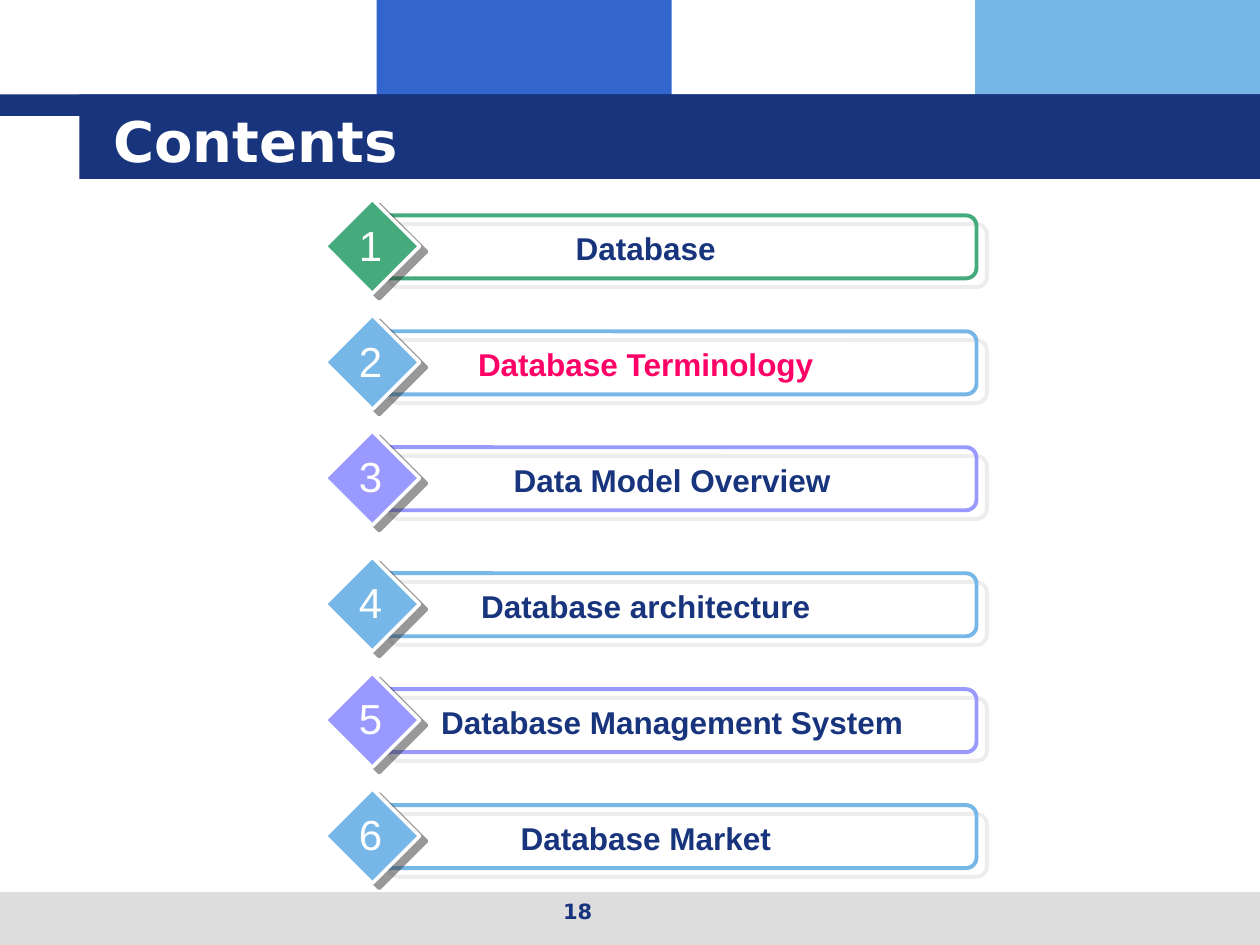
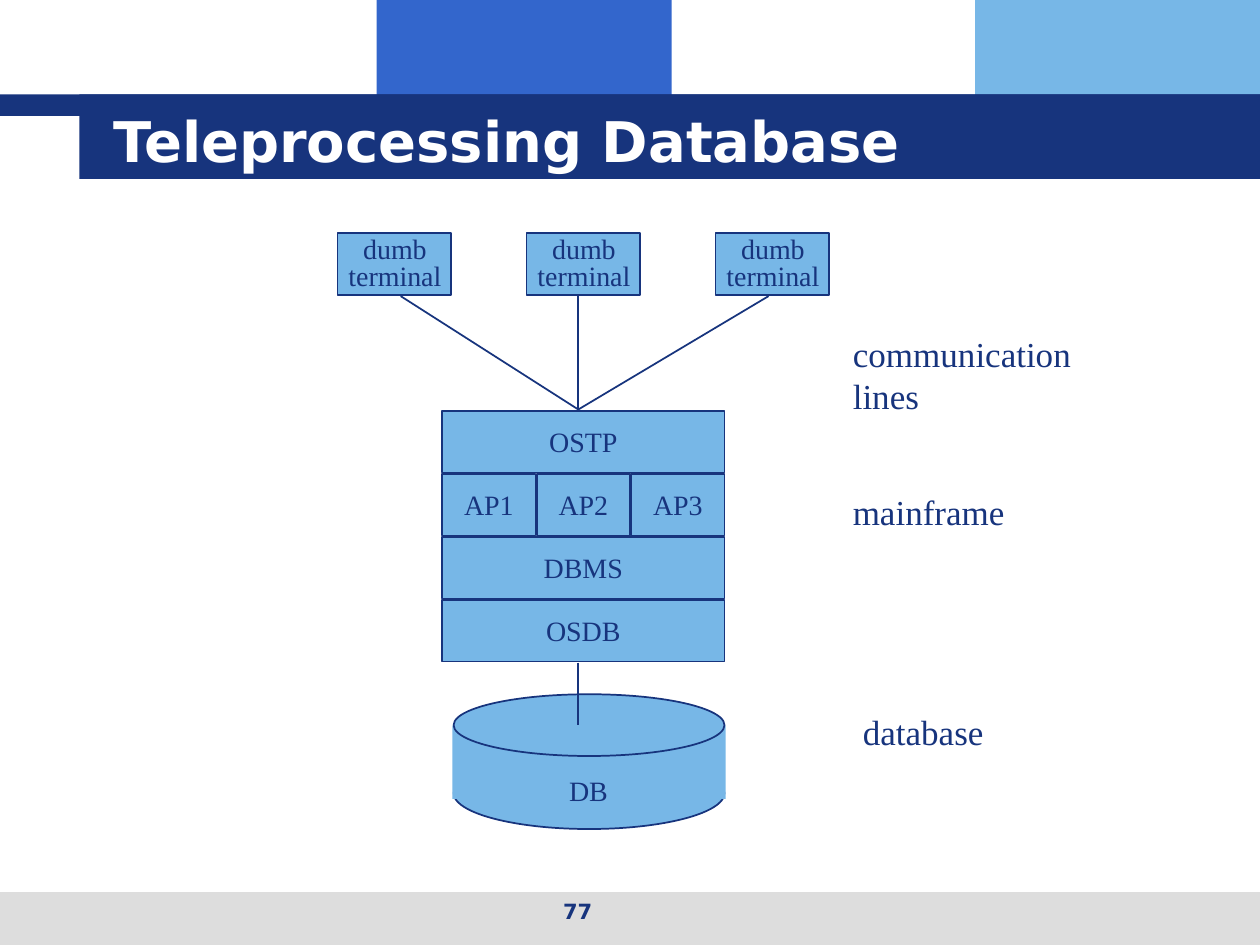
import lxml.etree
import pptx
import pptx.dml.color
import pptx.enum.shapes
import pptx.enum.text
import pptx.oxml.ns
import pptx.util

Inches = pptx.util.Inches
Pt = pptx.util.Pt
SHAPE = pptx.enum.shapes.MSO_SHAPE
ALIGN = pptx.enum.text.PP_ALIGN
ANCHOR = pptx.enum.text.MSO_ANCHOR
AUTO_SIZE = pptx.enum.text.MSO_AUTO_SIZE

COLORS = {
    "navy": "17347D",
    "blue": "3366CC",
    "sky": "77B7E7",
    "green": "45AB7D",
    "violet": "9999FF",
    "pink": "FF0066",
    "silver": "DDDDDD",
    "charcoal": "333333",
    "white": "FFFFFF",
}

FORMATS = {
    "title": {"name": "DejaVu Sans", "size": Pt(32), "bold": True},
    "page": {"name": "DejaVu Sans", "size": Pt(12), "bold": True},
    "topic": {"name": "Arial", "size": Pt(18), "bold": True},
    "number": {"name": "Arial", "size": Pt(24)},
    "diagram": {"name": "Times New Roman", "size": Pt(16)},
    "note": {"name": "Times New Roman", "size": Pt(20)},
}

BANDS = [
    ((2.99, 0, 2.34, 0.92), "blue"),
    ((7.74, 0, 2.26, 0.92), "sky"),
    ((0, 7.08, 10, 0.42), "silver"),
    ((0, 0.75, 10, 0.17), "navy"),
    ((0.63, 0.75, 9.37, 0.67), "navy"),
]

TOPICS = [
    ("Database", "green", "navy", 3.75),
    ("Database Terminology", "sky", "pink", 3.75),
    ("Data Model Overview", "violet", "navy", 4.17),
    ("Database architecture", "sky", "navy", 3.75),
    ("Database Management System", "violet", "navy", 4.17),
    ("Database Market", "sky", "navy", 3.75),
]

MAINFRAME_ROWS = [["OSTP"], ["AP1", "AP2", "AP3"], ["DBMS"], ["OSDB"]]

NOTES = [
    ("communication lines", (6.67, 2.59, 2.09, 0.76)),
    ("mainframe", (6.67, 3.84, 1.84, 0.43)),
    ("database", (6.75, 5.59, 2.01, 0.43)),
]


def rgb(color):
    """Return the named colour as an RGB value."""
    return pptx.dml.color.RGBColor.from_string(COLORS[color])


def inches(box):
    """Convert a sequence of numbers to lengths."""
    return [Inches(value) for value in box]


def write(shape, text, style, color="navy", align=ALIGN.CENTER, spacing=None, **frame):
    """Put one formatted paragraph into a shape."""
    text_frame = shape.text_frame
    for name, value in {"word_wrap": True, **frame}.items():
        setattr(text_frame, name, value)
    paragraph = text_frame.paragraphs[0]
    paragraph.text = text
    paragraph.alignment = align
    if spacing:
        paragraph.line_spacing = spacing
    font = paragraph.runs[0].font
    for name, value in FORMATS[style].items():
        setattr(font, name, value)
    font.color.rgb = rgb(color)


def add_text(shapes, box, text, style, **options):
    """Add a text box holding one paragraph."""
    write(shapes.add_textbox(*inches(box)), text, style, **options)


def add_block(shapes, kind, box, fill=None, line=None, width=1):
    """Add a preset shape with an optional fill and outline."""
    shape = shapes.add_shape(kind, *inches(box))
    shape.shadow.inherit = False
    if fill:
        shape.fill.solid()
        shape.fill.fore_color.rgb = rgb(fill)
    else:
        shape.fill.background()
    if line:
        shape.line.color.rgb = rgb(line)
        shape.line.width = Pt(width)
    else:
        shape.line.fill.background()
    return shape


def add_shadow(shape, color, distance, angle):
    """Give a shape a hard, half transparent shadow."""
    qn = pptx.oxml.ns.qn
    effects = shape.element.spPr.find(qn("a:effectLst"))
    shadow = lxml.etree.SubElement(
        effects, qn("a:outerShdw"), blurRad="0", dist=str(Pt(distance)),
        dir=str(angle * 60000), algn="ctr", rotWithShape="0")
    shade = lxml.etree.SubElement(shadow, qn("a:srgbClr"), val=COLORS[color])
    lxml.etree.SubElement(shade, qn("a:alpha"), val="50000")


def add_line(shapes, start, end):
    """Draw a thin straight line between two points."""
    line = shapes.add_connector(
        pptx.enum.shapes.MSO_CONNECTOR.STRAIGHT, *inches(start + end))
    line.line.color.rgb = rgb("navy")
    line.line.width = Pt(1)
    lxml.etree.SubElement(line.element.spPr, pptx.oxml.ns.qn("a:effectLst"))


def add_master_bands(presentation, slide):
    """Draw the coloured bands and place them at the back of the master."""
    tree = presentation.slide_master.element.cSld.spTree
    for index, (box, fill) in enumerate(BANDS):
        band = add_block(slide.shapes, SHAPE.RECTANGLE, box, fill)
        band.element.nvSpPr.cNvPr.set("id", str(20 + index))
        tree.insert(2 + index, band.element)


def add_slide(presentation, title, page):
    """Add a slide with its title and page number."""
    slide = presentation.slides.add_slide(presentation.slide_layouts[5])
    heading = slide.shapes.title
    box = dict(zip(("left", "top", "width", "height"), inches((0.8, 0.8, 8.53, 0.62))))
    for name, value in box.items():
        setattr(heading, name, value)
    write(heading, title, "title", "white", ALIGN.LEFT,
          vertical_anchor=ANCHOR.MIDDLE, auto_size=AUTO_SIZE.NONE)
    add_text(slide.shapes, (3.42, 7.08, 2.33, 0.35), page, "page")
    return slide


def add_topic(slide, left, top, number, topic):
    """Add one numbered contents row at the given corner."""
    text, accent, color, width = topic
    shapes = slide.shapes.add_group_shape().shapes
    bar = add_block(shapes, SHAPE.ROUNDED_RECTANGLE,
                    (left + 0.42, top + 0.13, 4.75, 0.5), line=accent, width=2.25)
    add_shadow(bar, "silver", 7.8, 40)
    diamond = add_block(shapes, SHAPE.DIAMOND, (left, top, 0.75, 0.75), accent, "white", 2)
    add_shadow(diamond, "charcoal", 5, 37)
    add_text(shapes, (left + 0.67, top + 0.19, width, 0.4), text, "topic", color=color)
    add_text(shapes, (left + 0.17, top + 0.11, 0.38, 0.5), str(number), "number",
             color="white", word_wrap=False)


def add_contents(slide, left, top):
    """Stack the topics in two sets of three."""
    for index, topic in enumerate(TOPICS):
        group, row = divmod(index, 3)
        add_topic(slide, left, top + 2.84 * group + 0.92 * row, index + 1, topic)


def add_mainframe(slide, left, top, width):
    """Stack the software layers, splitting each row into equal cells."""
    gap, height = 0.01, 0.49
    for row, names in enumerate(MAINFRAME_ROWS):
        cell = (width - gap * (len(names) - 1)) / len(names)
        for column, name in enumerate(names):
            box = (left + column * (cell + gap), top + row * (height + gap), cell, height)
            layer = add_block(slide.shapes, SHAPE.RECTANGLE, box, "sky", "navy")
            write(layer, name, "diagram", word_wrap=False, vertical_anchor=ANCHOR.MIDDLE)


def add_database(slide, left, top):
    """Build the storage drum and the line that feeds it."""
    shapes = slide.shapes
    add_block(shapes, SHAPE.OVAL, (left, top + 0.5, 2.15, 0.57), "sky", "navy")
    add_block(shapes, SHAPE.RECTANGLE, (left - 0.01, top + 0.25, 2.17, 0.58), "sky")
    add_block(shapes, SHAPE.OVAL, (left, top, 2.15, 0.49), "sky", "navy")
    add_line(shapes, (left + 0.99, top - 0.25), (left + 0.99, top + 0.24))
    add_text(shapes, (left + 0.73, top + 0.58, 0.68, 0.36), "DB", "diagram")


def add_terminals(slide, left, top, hub):
    """Place the terminals and run their lines to the hub point."""
    for index, line_start in enumerate((0.5, 1.91, 3.42)):
        terminal_left = left + 1.5 * index
        add_block(slide.shapes, SHAPE.RECTANGLE, (terminal_left, top, 0.9, 0.49), "sky", "navy")
        add_text(slide.shapes, (terminal_left - 0.26, top - 0.01, 1.43, 0.52),
                 "dumb terminal", "diagram", spacing=0.8)
        add_line(slide.shapes, (left + line_start, top + 0.5), hub)


def main():
    """Build both slides and save them."""
    presentation = pptx.Presentation()
    presentation.slide_width, presentation.slide_height = inches((10, 7.5))

    contents = add_slide(presentation, "Contents", "18")
    add_master_bands(presentation, contents)
    add_contents(contents, 2.58, 1.58)

    teleprocessing = add_slide(presentation, "Teleprocessing Database", "77")
    add_mainframe(teleprocessing, 3.51, 3.26, 2.24)
    add_database(teleprocessing, 3.6, 5.51)
    add_terminals(teleprocessing, 2.68, 1.85, (4.59, 3.25))
    for text, box in NOTES:
        add_text(teleprocessing.shapes, box, text, "note", align=ALIGN.LEFT)

    presentation.save("out.pptx")


if __name__ == "__main__":
    main()
